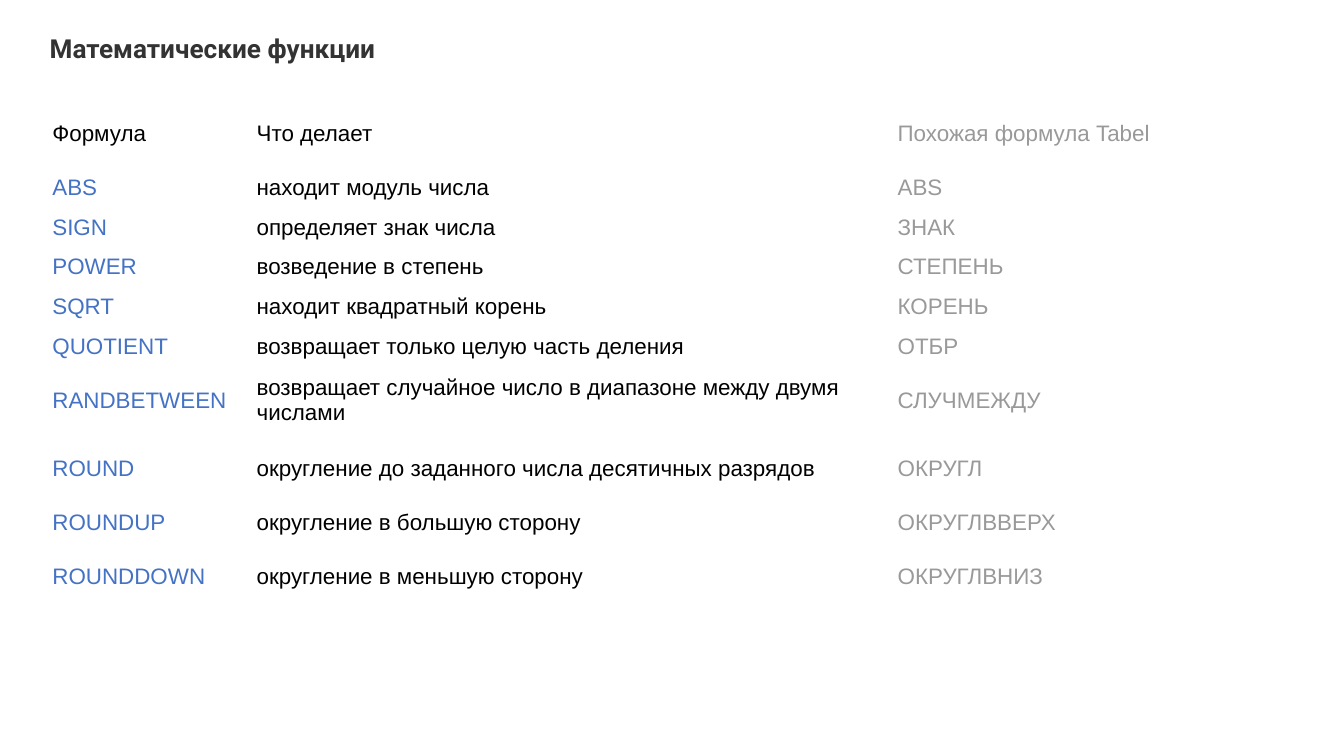
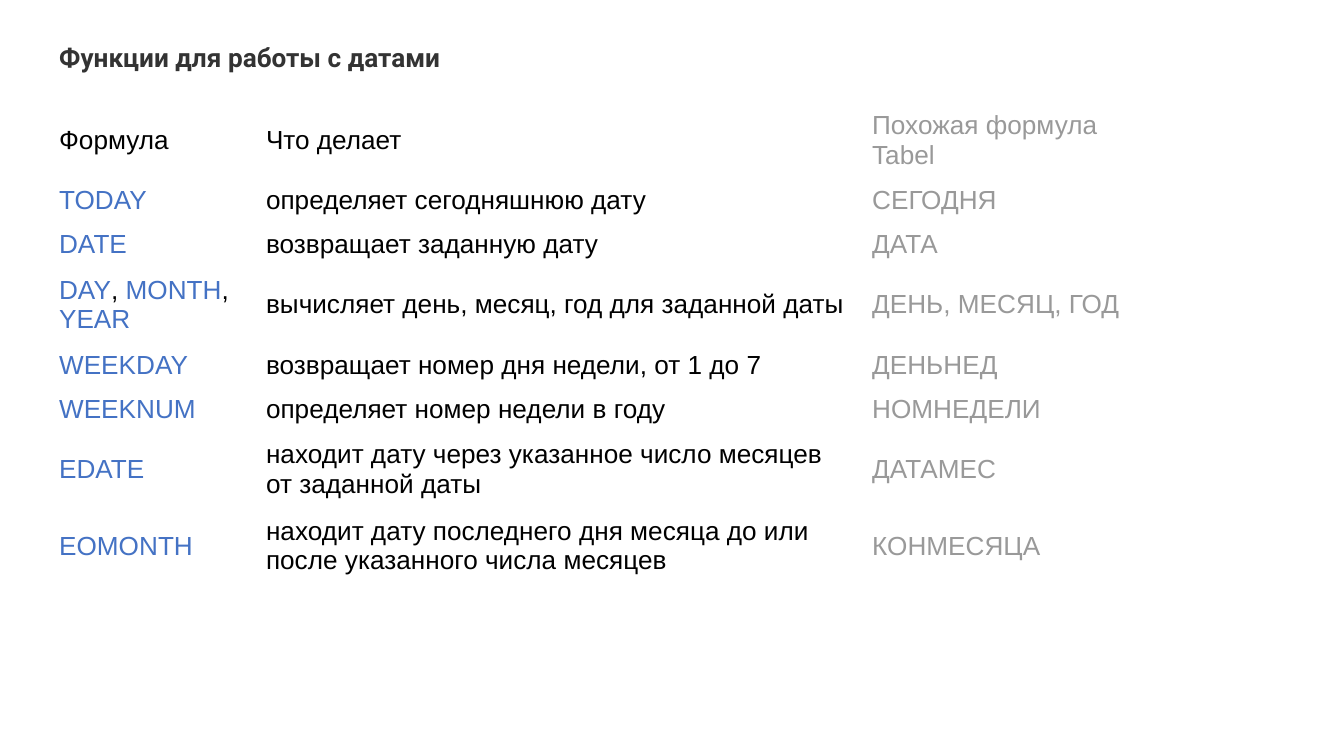
from dataclasses import dataclass

from pptx import Presentation
from pptx.dml.color import RGBColor
from pptx.enum.text import MSO_ANCHOR, MSO_AUTO_SIZE, PP_ALIGN
from pptx.util import Inches, Pt

MIDDLE = MSO_ANCHOR.MIDDLE
TOP = MSO_ANCHOR.TOP
LEFT = PP_ALIGN.LEFT
GROW = MSO_AUTO_SIZE.SHAPE_TO_FIT_TEXT

SLIDE_WIDTH = Inches(10)
SLIDE_HEIGHT = SLIDE_WIDTH * 9 // 16

WHITE = "FFFFFF"
BLACK = "000000"
TITLE_COLOR = "333333"
FORMULA_COLOR = "4472C4"
SIMILAR_COLOR = "999999"

TITLE_ONLY_LAYOUT = 5
SEPARATOR = ", "
HEADER = ("Формула", "Что делает", "Похожая формула Tabel")


@dataclass(frozen=True)
class FunctionSlide:
    title: str
    title_left: float
    title_top: float
    table_left: float
    table_top: float
    table_height: float
    column_widths: tuple[float, ...]
    tall_rows: tuple[int, ...]
    tall_height: float
    font_size: int
    right_margin: float
    functions: tuple[tuple[str, str, str], ...]


FUNCTION_SLIDES = (
    FunctionSlide(
        title="Математические функции",
        title_left=0.27, title_top=0.19,
        table_left=0.35, table_top=0.74, table_height=3.81,
        column_widths=(1.52, 4.77, 2.1),
        tall_rows=(0, 6, 7, 9), tall_height=0.51,
        font_size=12, right_margin=0.07,
        functions=(
            ("ABS", "находит модуль числа", "ABS"),
            ("SIGN", "определяет знак числа", "ЗНАК"),
            ("POWER", "возведение в степень", "СТЕПЕНЬ"),
            ("SQRT", "находит квадратный корень", "КОРЕНЬ"),
            ("QUOTIENT", "возвращает только целую часть деления", "ОТБР"),
            ("RANDBETWEEN", "возвращает случайное число в диапазоне между двумя числами",
             "СЛУЧМЕЖДУ"),
            ("ROUND", "округление до заданного числа десятичных разрядов", "ОКРУГЛ"),
            ("ROUNDUP", "округление в большую сторону", "ОКРУГЛВВЕРХ"),
            ("ROUNDDOWN", "округление в меньшую сторону", "ОКРУГЛВНИЗ"),
        ),
    ),
    FunctionSlide(
        title="Функции для работы с датами",
        title_left=0.34, title_top=0.26,
        table_left=0.4, table_top=0.76, table_height=3.59,
        column_widths=(1.54, 4.51, 2.02),
        tall_rows=(0, 3, 6, 7), tall_height=0.57,
        font_size=14, right_margin=0.1,
        functions=(
            ("TODAY", "определяет сегодняшнюю дату", "СЕГОДНЯ"),
            ("DATE", "возвращает заданную дату", "ДАТА"),
            ("DAY, MONTH, YEAR", "вычисляет день, месяц, год для заданной даты",
             "ДЕНЬ, МЕСЯЦ, ГОД"),
            ("WEEKDAY", "возвращает номер дня недели, от 1 до 7", "ДЕНЬНЕД"),
            ("WEEKNUM", "определяет номер недели в году", "НОМНЕДЕЛИ"),
            ("EDATE", "находит дату через указанное число месяцев от заданной даты",
             "ДАТАМЕС"),
            ("EOMONTH", "находит дату последнего дня месяца до или после указанного числа месяцев",
             "КОНМЕСЯЦА"),
        ),
    ),
)


def rgb(color: str) -> RGBColor:
    return RGBColor.from_string(color)


def apply_format(target, values: dict) -> None:
    for name, value in values.items():
        setattr(target, name, value)


def add_run(paragraph, text: str, color: str, font_format: dict) -> None:
    run = paragraph.add_run()
    run.text = text
    apply_format(run.font, font_format)
    run.font.color.rgb = rgb(color)


def add_title(slide, content: FunctionSlide) -> None:
    title = slide.shapes.title
    apply_format(title, {
        "left": Inches(content.title_left), "top": Inches(content.title_top),
        "width": Inches(5), "height": Inches(0.34),
    })
    apply_format(title.text_frame, {
        "word_wrap": True, "auto_size": GROW, "vertical_anchor": TOP,
    })
    paragraph = title.text_frame.paragraphs[0]
    paragraph.alignment = LEFT
    add_run(paragraph, content.title, TITLE_COLOR,
            {"name": "Roboto", "size": Pt(14), "bold": True})


def cell_runs(row: int, column: int, text: str) -> list[tuple[str, str]]:
    if column == 2:
        return [(text, SIMILAR_COLOR)]
    if column == 1 or row == 0:
        return [(text, BLACK)]
    runs = []
    for name in text.split(SEPARATOR):
        if runs:
            runs.append((SEPARATOR, BLACK))
        runs.append((name, FORMULA_COLOR))
    return runs


def add_function_table(slide, content: FunctionSlide) -> None:
    rows = (HEADER, *content.functions)
    tall_count = len(content.tall_rows)
    short_height = (content.table_height - tall_count * content.tall_height) / (len(rows) - tall_count)
    table = slide.shapes.add_table(
        len(rows), len(HEADER), Inches(content.table_left), Inches(content.table_top),
        Inches(sum(content.column_widths)), Inches(content.table_height)).table
    apply_format(table, {"first_row": False, "horz_banding": False})
    for column, width in zip(table.columns, content.column_widths):
        column.width = Inches(width)
    cell_format = {
        "vertical_anchor": MIDDLE, "margin_left": Inches(0.04), "margin_top": Inches(0.04),
        "margin_right": Inches(content.right_margin), "margin_bottom": Inches(0.04),
    }
    font_format = {"name": "Arial", "size": Pt(content.font_size), "bold": False}
    for row, texts in enumerate(rows):
        table.rows[row].height = Inches(
            content.tall_height if row in content.tall_rows else short_height)
        for column, text in enumerate(texts):
            cell = table.cell(row, column)
            apply_format(cell, cell_format)
            cell.fill.solid()
            cell.fill.fore_color.rgb = rgb(WHITE)
            for run_text, color in cell_runs(row, column, text):
                add_run(cell.text_frame.paragraphs[0], run_text, color, font_format)


def main() -> None:
    presentation = Presentation()
    apply_format(presentation, {"slide_width": SLIDE_WIDTH, "slide_height": SLIDE_HEIGHT})
    for content in FUNCTION_SLIDES:
        slide = presentation.slides.add_slide(presentation.slide_layouts[TITLE_ONLY_LAYOUT])
        add_title(slide, content)
        add_function_table(slide, content)
    presentation.save("out.pptx")


if __name__ == "__main__":
    main()
